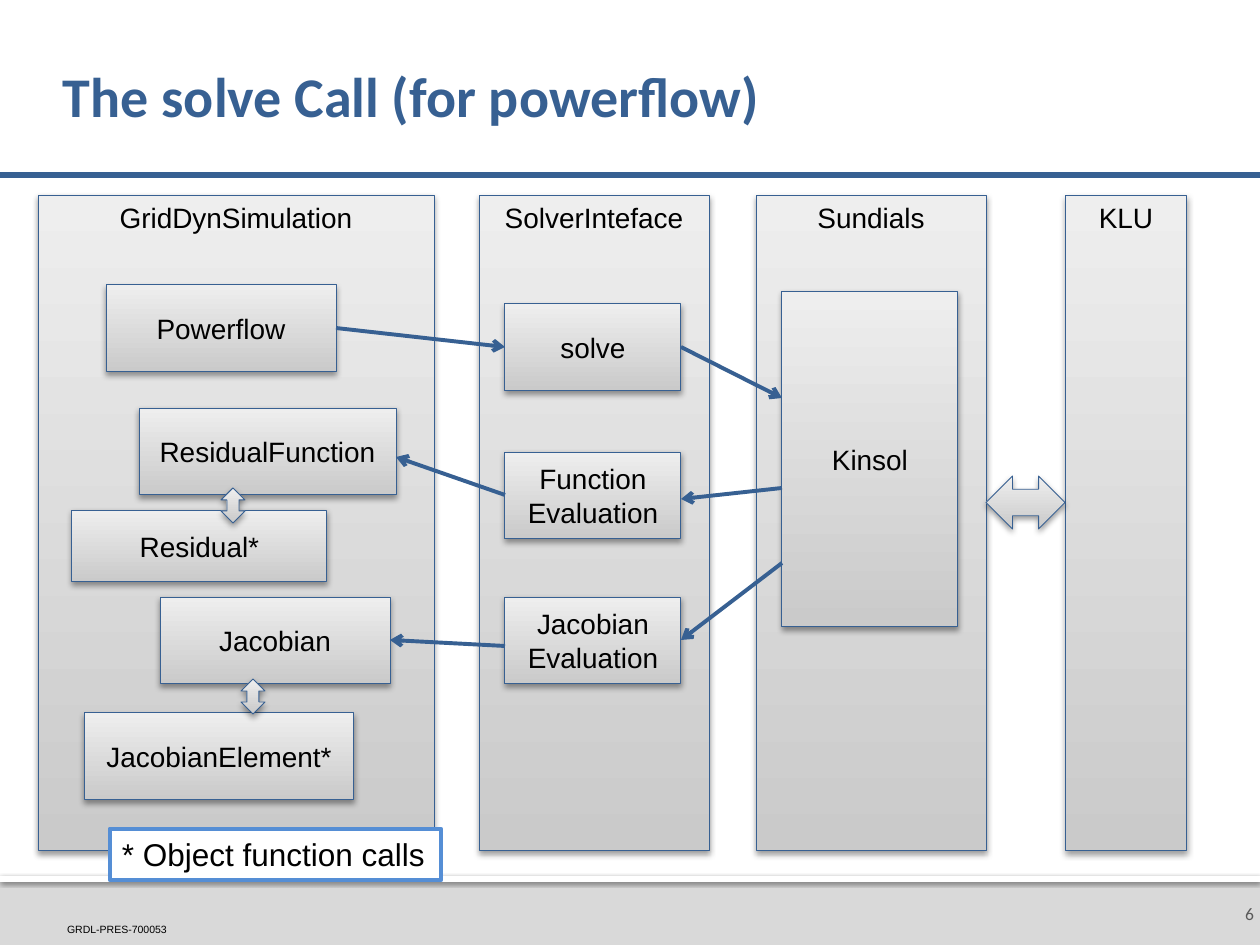
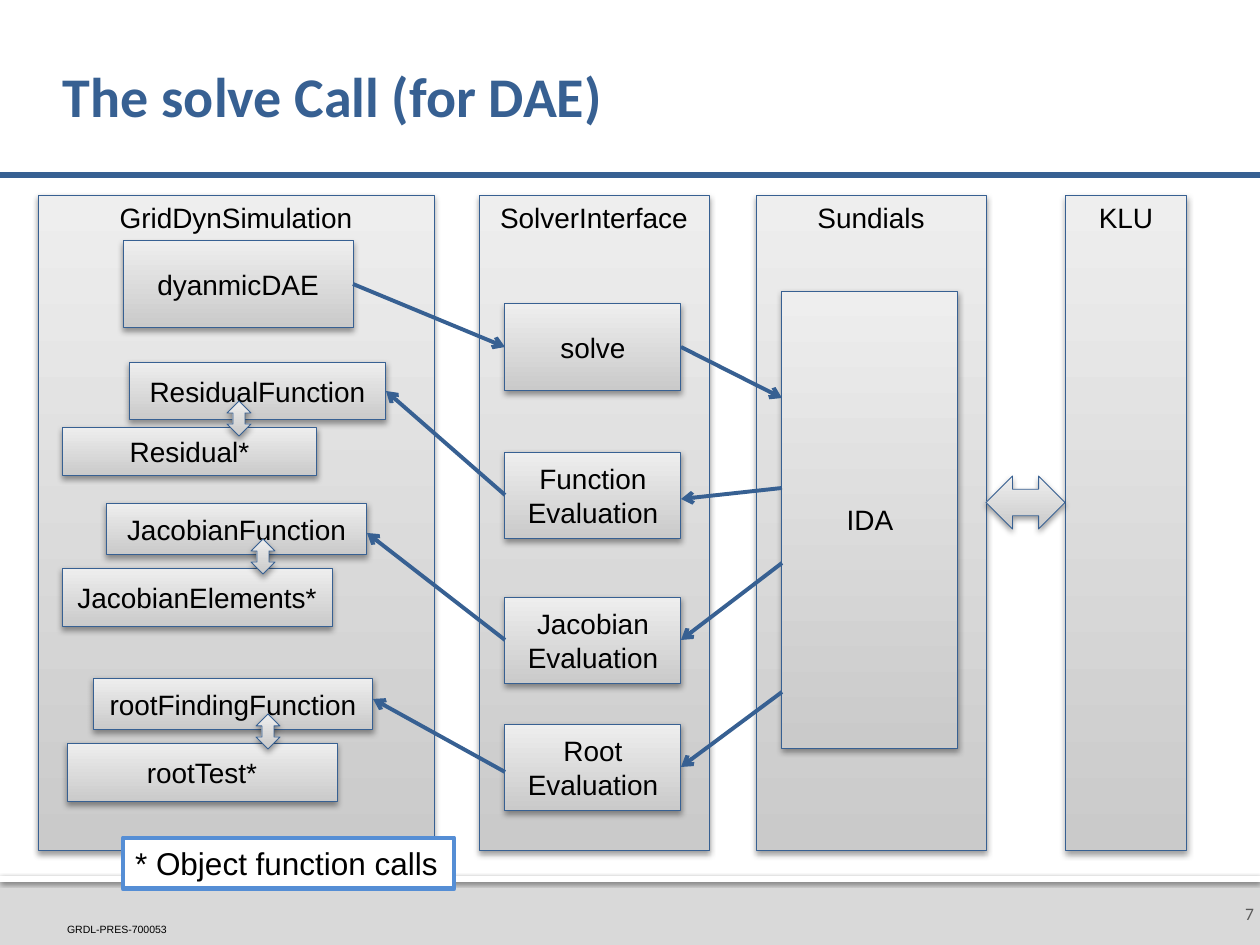
from dataclasses import dataclass
from typing import NamedTuple

from lxml import etree
from pptx import Presentation
from pptx.dml.color import RGBColor
from pptx.enum.shapes import MSO_CONNECTOR, MSO_SHAPE
from pptx.enum.text import MSO_ANCHOR, PP_ALIGN
from pptx.oxml.ns import qn
from pptx.util import Pt

PX = 914400 / 126
RECT, SWAP = MSO_SHAPE.RECTANGLE, MSO_SHAPE.UP_DOWN_ARROW
EXCHANGE = MSO_SHAPE.LEFT_RIGHT_ARROW
STRAIGHT = MSO_CONNECTOR.STRAIGHT
TOP, MIDDLE, BOTTOM = MSO_ANCHOR.TOP, MSO_ANCHOR.MIDDLE, MSO_ANCHOR.BOTTOM
LEFT, CENTER, RIGHT = PP_ALIGN.LEFT, PP_ALIGN.CENTER, PP_ALIGN.RIGHT


@dataclass(frozen=True)
class Theme:
    blue: str = "376092"
    note_line: str = "558ED5"
    dark: str = "CACACA"
    light: str = "EEEEEE"
    band: str = "D9D9D9"
    white: str = "FFFFFF"
    black: str = "000000"
    grey: str = "595959"
    body: str = "Arial"
    heading: str = "Calibri"
    title_size: int = 32
    note_size: int = 18
    label_size: int = 16
    number_size: int = 10
    code_size: int = 6


T = Theme()


class Box(NamedTuple):
    x: int
    y: int
    w: int
    h: int

    def inside(self, x, y, w, h):
        return Box(self.x + x, self.y + y, w, h)

    def left(self, dy):
        return self.x, self.y + dy

    def right(self, dy):
        return self.x + self.w, self.y + dy


PAGE = Box(0, 0, 1260, 945)
COLUMN_TOP, COLUMN_H = 195, 656
SIMULATION, INTERFACE, SUNDIALS, KLU = [
    Box(x, COLUMN_TOP, w, COLUMN_H)
    for x, w in ((38, 396), (479, 230), (756, 230), (1065, 122))]
STEP_W, STEP_H = 176, 87
MID = STEP_H // 2


class Evaluation(NamedTuple):
    name: str
    y: int          # top within the interface column
    engine_y: int   # start of the arrow, down the engine's edge
    hit: int        # end of the arrow, down the evaluation's edge


FUNCTION = Evaluation("Function", 257, 197, 47)
JACOBIAN = Evaluation("Jacobian", 402, 272, MID)
ROOT = Evaluation("Root", 529, 401, MID)


class Route(NamedTuple):
    evaluation: Evaluation
    caller: tuple   # text and place within the simulation column
    callee: tuple
    swap: tuple
    leave: int      # arrow start, down the evaluation's edge
    hit: int        # arrow end, down the caller's edge


SLIDES = [
    dict(number=6, title="The solve Call (for powerflow)",
         interface="SolverInteface", engine=("Kinsol", 336),
         entry=("Powerflow", 68, 90, 230, 87), note=(72, 634),
         routes=[
             Route(FUNCTION, ("ResidualFunction", 101, 213, 257, 87),
                   ("Residual*", 34, 315, 255, 72), (183, 293), MID, 49),
             Route(JACOBIAN, ("Jacobian", 122, 402, 230, 87),
                   ("JacobianElement*", 46, 518, 270, 87), (203, 484), 49, MID),
         ]),
    dict(number=7, title="The solve Call (for DAE)",
         interface="SolverInterface", engine=("IDA", 457),
         entry=("dyanmicDAE", 85, 46, 230, 87), note=(85, 643),
         routes=[
             Route(FUNCTION, ("ResidualFunction", 91, 167, 257, 58),
                   ("Residual*", 24, 232, 255, 49), (189, 206), MID, 29),
             Route(JACOBIAN, ("JacobianFunction", 68, 308, 261, 52),
                   ("JacobianElements*", 24, 373, 270, 59), (213, 344), MID, 30),
             Route(ROOT, ("rootFindingFunction", 55, 483, 280, 52),
                   ("rootTest*", 29, 548, 270, 59), (218, 519), 48, 21),
         ]),
]


def emu(*lengths):
    return [round(v * PX) for v in lengths]


def rgb(value):
    return RGBColor.from_string(value)


def write(sp, text, size=T.label_size, color=T.black, font=T.body, bold=False,
          align=CENTER, anchor=MIDDLE, insets=(12, 6, 12, 6), wrap=True,
          spacing=None):
    tf = sp.text_frame
    tf.word_wrap = wrap
    tf.vertical_anchor = anchor
    (tf.margin_left, tf.margin_top,
     tf.margin_right, tf.margin_bottom) = emu(*insets)
    for i, line in enumerate(text.split("\n")):
        p = tf.paragraphs[0] if i == 0 else tf.add_paragraph()
        p.alignment = align
        if spacing:
            p.line_spacing = spacing
        r = p.add_run()
        r.text = line
        r.font.name, r.font.size, r.font.bold = font, Pt(size), bold
        r.font.color.rgb = rgb(color)


def textbox(slide, box, text, **fmt):
    write(slide.shapes.add_textbox(*emu(*box)), text, **fmt)


def shadow(sp, alpha, blur, dist):
    effects = sp._element.spPr.find(qn("a:effectLst"))
    outer = etree.SubElement(effects, qn("a:outerShdw"), blurRad=str(Pt(blur)),
                             dist=str(Pt(dist)), dir="5400000", rotWithShape="0")
    color = etree.SubElement(outer, qn("a:srgbClr"), val=T.black)
    etree.SubElement(color, qn("a:alpha"), val=str(alpha * 1000))


def flat(slide, box, fill, line=None, width=0):
    sp = slide.shapes.add_shape(RECT, *emu(*box))
    sp.shadow.inherit = False
    sp.fill.solid()
    sp.fill.fore_color.rgb = rgb(fill)
    if line:
        sp.line.color.rgb = rgb(line)
        sp.line.width = Pt(width)
    else:
        sp.line.fill.background()
    return sp


def raised(slide, box, text="", kind=RECT, **fmt):
    sp = slide.shapes.add_shape(kind, *emu(*box))
    sp.shadow.inherit = False
    sp.fill.gradient()
    sp.fill.gradient_angle = 90
    for stop, position, color in zip(sp.fill.gradient_stops, (0, 1),
                                     (T.dark, T.light)):
        stop.position = position
        stop.color.rgb = rgb(color)
    sp.line.color.rgb = rgb(T.blue)
    sp.line.width = Pt(0.5)
    shadow(sp, 38, 3.5, 2)
    if text:
        write(sp, text, **fmt)
    return box


def link(slide, start, end, width=2.25, arrow=True):
    cn = slide.shapes.add_connector(STRAIGHT, *emu(*start, *end))
    cn.line.color.rgb = rgb(T.blue)
    cn.line.width = Pt(width)
    if arrow:
        etree.SubElement(cn.line._get_or_add_ln(), qn("a:tailEnd"), type="arrow")
    etree.SubElement(cn._element.spPr, qn("a:effectLst"))


# Title, rule and footer shared by both slides
def frame(slide, box, title, number):
    flat(slide, box.inside(0, 876, box.w, 69), T.band)
    shadow(flat(slide, box.inside(0, 876, box.w, 6), T.white), 60, 2.5, 0.8)
    textbox(slide, box.inside(67, 923, 121, 13), "GRDL-PRES-700053",
            size=T.code_size, align=LEFT, anchor=BOTTOM, insets=(0, 0, 0, 0))
    textbox(slide, box.inside(1216, 882, 44, 63), str(number),
            size=T.number_size, font=T.heading, color=T.grey, align=RIGHT,
            insets=(12, 6, 6, 6))
    link(slide, box.left(175), box.right(175), width=3, arrow=False)
    textbox(slide, box.inside(63, 30, 1134, 139), title, size=T.title_size,
            font=T.heading, color=T.blue, bold=True, align=LEFT,
            insets=(0, 6, 6, 6), spacing=0.9)


# Simulation column: entry call, then caller and callee of each route
def simulation(slide, box, entry, routes):
    raised(slide, box, "GridDynSimulation", anchor=TOP)

    def call(text, *place):
        return raised(slide, box.inside(*place), text)

    start = call(*entry)
    callers = []
    for route in routes:
        callers.append(call(*route.caller))
        call(*route.callee)
        raised(slide, box.inside(*route.swap, 24, 35), kind=SWAP)
    return start, callers


# Interface column: solve on top of the evaluations
def interface(slide, box, name, routes):
    raised(slide, box, name, anchor=TOP)
    solve = raised(slide, box.inside(26, 109, STEP_W, STEP_H), "solve")
    steps = [raised(slide, box.inside(26, route.evaluation.y, STEP_W, STEP_H),
                    f"{route.evaluation.name}\nEvaluation") for route in routes]
    return solve, steps


# Solver library column with its engine
def library(slide, box, name, height):
    raised(slide, box, "Sundials", anchor=TOP)
    return raised(slide, box.inside(26, 96, STEP_W, height), name)


# Footnote on the starred calls
def footnote(slide, box, place):
    sp = flat(slide, box.inside(*place, 331, 51), T.white, T.note_line, 2.75)
    write(sp, "* Object function calls", size=T.note_size, align=LEFT,
          anchor=TOP, wrap=False)


def solve_slide(prs, spec_):
    slide = prs.slides.add_slide(prs.slide_layouts[6])
    routes = spec_["routes"]
    frame(slide, PAGE, spec_["title"], spec_["number"])

    # Columns
    start, callers = simulation(slide, SIMULATION, spec_["entry"], routes)
    solve, steps = interface(slide, INTERFACE, spec_["interface"], routes)
    engine = library(slide, SUNDIALS, *spec_["engine"])
    raised(slide, KLU, "KLU", anchor=TOP)
    gap = KLU.x - SUNDIALS.x - SUNDIALS.w
    raised(slide, SUNDIALS.inside(SUNDIALS.w, 281, gap, 53), kind=EXCHANGE)

    # Calls towards the engine, then back along each route
    link(slide, start.right(MID), solve.left(MID))
    link(slide, solve.right(MID), engine.left(107))
    for route, step, caller in zip(routes, steps, callers):
        evaluation = route.evaluation
        link(slide, engine.left(evaluation.engine_y), step.right(evaluation.hit))
        link(slide, step.left(route.leave), caller.right(route.hit))

    footnote(slide, SIMULATION, spec_["note"])


def main():
    prs = Presentation()
    prs.slide_width, prs.slide_height = emu(PAGE.w, PAGE.h)
    for content in SLIDES:
        solve_slide(prs, content)
    prs.save("out.pptx")


if __name__ == "__main__":
    main()
